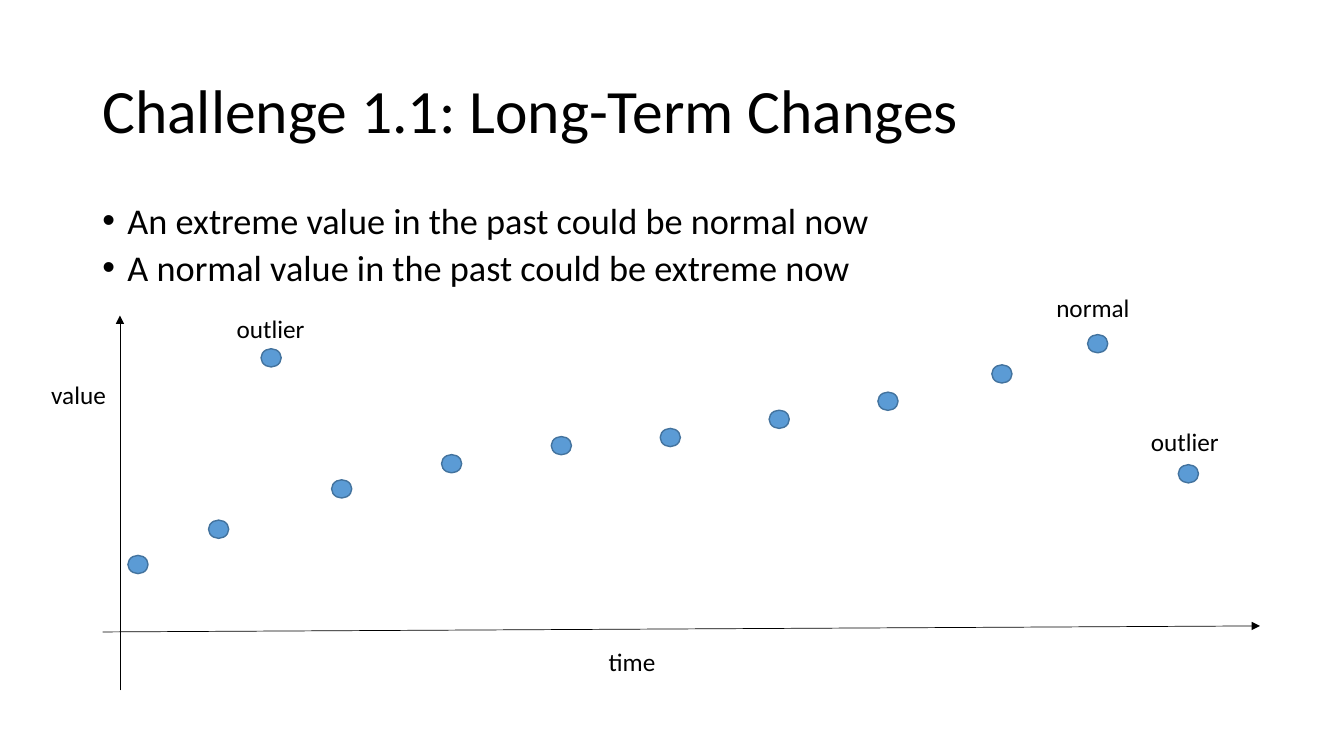
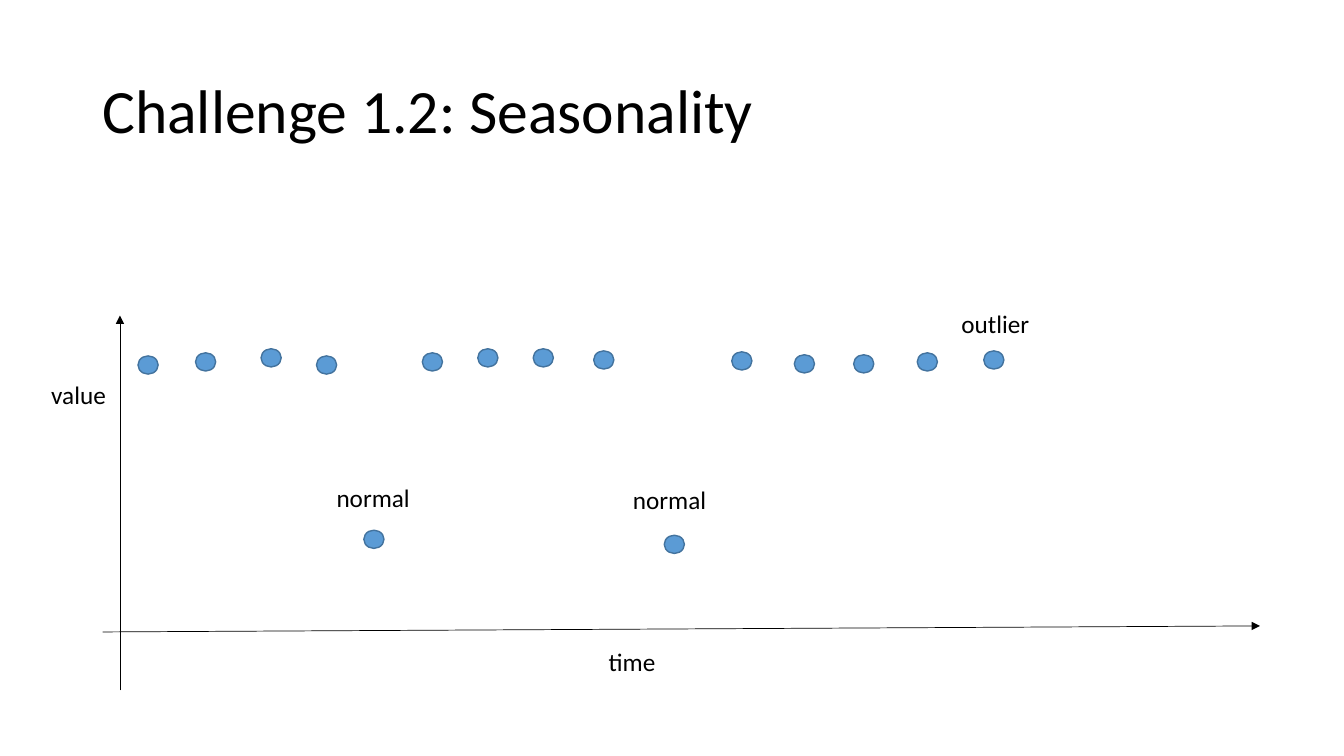
from lxml import etree
from pptx import Presentation
from pptx.dml.color import RGBColor
from pptx.enum.shapes import MSO_CONNECTOR, MSO_SHAPE
from pptx.enum.text import MSO_ANCHOR, MSO_AUTO_SIZE
from pptx.oxml.ns import qn
from pptx.util import Pt

STRAIGHT = MSO_CONNECTOR.STRAIGHT
OVAL = MSO_SHAPE.OVAL
TOP = MSO_ANCHOR.TOP
MIDDLE = MSO_ANCHOR.MIDDLE
GROW = MSO_AUTO_SIZE.SHAPE_TO_FIT_TEXT
BLANK_LAYOUT = 6

TREND_DOTS = [
    (91.4, 396.7), (149, 371.5), (186.5, 249.1), (236.9, 342.7),
    (315.4, 324.7), (393.8, 311.8), (471.6, 306), (549.4, 293),
    (627.1, 280.1), (708.5, 260.6), (776.9, 239), (841.7, 331.9),
]
TREND_LABELS = [("outlier", 162, 220.3), ("normal", 747.4, 205.2), ("outlier", 815, 301)]
SEASON_DOTS = [
    (98.6, 254.2), (139.7, 252), (186.5, 249.1), (226.1, 254.2), (259.9, 378.7),
    (301.7, 252), (341.3, 249.1), (380.9, 249.1), (424.1, 250.6), (474.5, 382.3),
    (522.7, 251.3), (567.4, 253.4), (609.8, 253.4), (655.2, 252), (702.7, 250.6),
]
SEASON_LABELS = [("normal", 233.3, 341.3), ("normal", 445, 342.7), ("outlier", 679.7, 216.7)]


def color(value):
    """Turn a hex string into a colour."""
    return RGBColor.from_string(value)


class Deck:
    """Hold the shared style and the current slide."""

    FONT = "Calibri"
    INK = "000000"
    DOT_FILL = "5B9BD5"
    DOT_LINE = "43739E"

    def __init__(self):
        """Start an empty wide presentation."""
        self.presentation = Presentation()
        self.presentation.slide_width = Pt(960)
        self.presentation.slide_height = Pt(540)
        self.slide = None

    def add_slide(self, title):
        """Start a slide with its title."""
        layout = self.presentation.slide_layouts[BLANK_LAYOUT]
        self.slide = self.presentation.slides.add_slide(layout)
        frame = self.text_frame(66, 28.8, 828, 104.4, MIDDLE)
        paragraph = frame.paragraphs[0]
        paragraph.line_spacing = 0.9
        self.run(paragraph, title, 44)

    def text_frame(self, left, top, width, height, anchor=TOP):
        """Add a wrapping text box and return its frame."""
        shape = self.slide.shapes.add_textbox(Pt(left), Pt(top), Pt(width), Pt(height))
        frame = shape.text_frame
        frame.word_wrap = True
        frame.vertical_anchor = anchor
        return frame

    def run(self, paragraph, text, size):
        """Add one styled run to a paragraph."""
        run = paragraph.add_run()
        run.text = text
        run.font.name = self.FONT
        run.font.size = Pt(size)
        run.font.color.rgb = color(self.INK)

    def bullets(self, lines):
        """Add the bulleted body text."""
        frame = self.text_frame(66, 144, 828, 70.6)
        for index, line in enumerate(lines):
            paragraph = frame.add_paragraph() if index else frame.paragraphs[0]
            paragraph.line_spacing = 0.8
            paragraph.space_before = Pt(9)
            properties = paragraph._p.get_or_add_pPr()
            properties.set("marL", str(Pt(18)))
            properties.set("indent", str(-Pt(18)))
            etree.SubElement(properties, qn("a:buFont"), typeface="Arial")
            etree.SubElement(properties, qn("a:buChar"), char="•")
            self.run(paragraph, line, 25.9)

    def label(self, text, left, top):
        """Add a small chart label."""
        frame = self.text_frame(left, top, 87.8, 29.1)
        frame.auto_size = GROW
        self.run(frame.paragraphs[0], text, 18)

    def dot(self, left, top):
        """Add one data point."""
        shape = self.slide.shapes.add_shape(OVAL, Pt(left), Pt(top), Pt(14.4), Pt(13))
        shape.shadow.inherit = False
        shape.fill.solid()
        shape.fill.fore_color.rgb = color(self.DOT_FILL)
        shape.line.color.rgb = color(self.DOT_LINE)
        shape.line.width = Pt(1)

    def arrow(self, start_x, start_y, end_x, end_y):
        """Add an axis line with an arrowhead at its end."""
        connector = self.slide.shapes.add_connector(
            STRAIGHT, Pt(start_x), Pt(start_y), Pt(end_x), Pt(end_y))
        connector.line.color.rgb = color(self.INK)
        connector.line.width = Pt(0.5)
        line = connector.line._get_or_add_ln()
        etree.SubElement(line, qn("a:tailEnd"), type="triangle")
        etree.SubElement(connector._element.spPr, qn("a:effectLst"))

    def plot(self, dots, labels):
        """Draw the dots, the axes and the labels."""
        for left, top in dots:
            self.dot(left, top)
        self.arrow(73.4, 451.4, 900, 447.1)
        self.arrow(85.7, 493.2, 85.7, 225.4)
        for text, left, top in [("time", 427.7, 457.9), ("value", 29.5, 267.1), *labels]:
            self.label(text, left, top)


def main():
    """Build both slides and save them."""
    deck = Deck()
    deck.add_slide("Challenge 1.1: Long-Term Changes")
    deck.bullets([
        "An extreme value in the past could be normal now",
        "A normal value in the past could be extreme now",
    ])
    deck.plot(TREND_DOTS, TREND_LABELS)
    deck.add_slide("Challenge 1.2: Seasonality")
    deck.plot(SEASON_DOTS, SEASON_LABELS)
    deck.presentation.save("out.pptx")


if __name__ == "__main__":
    main()
